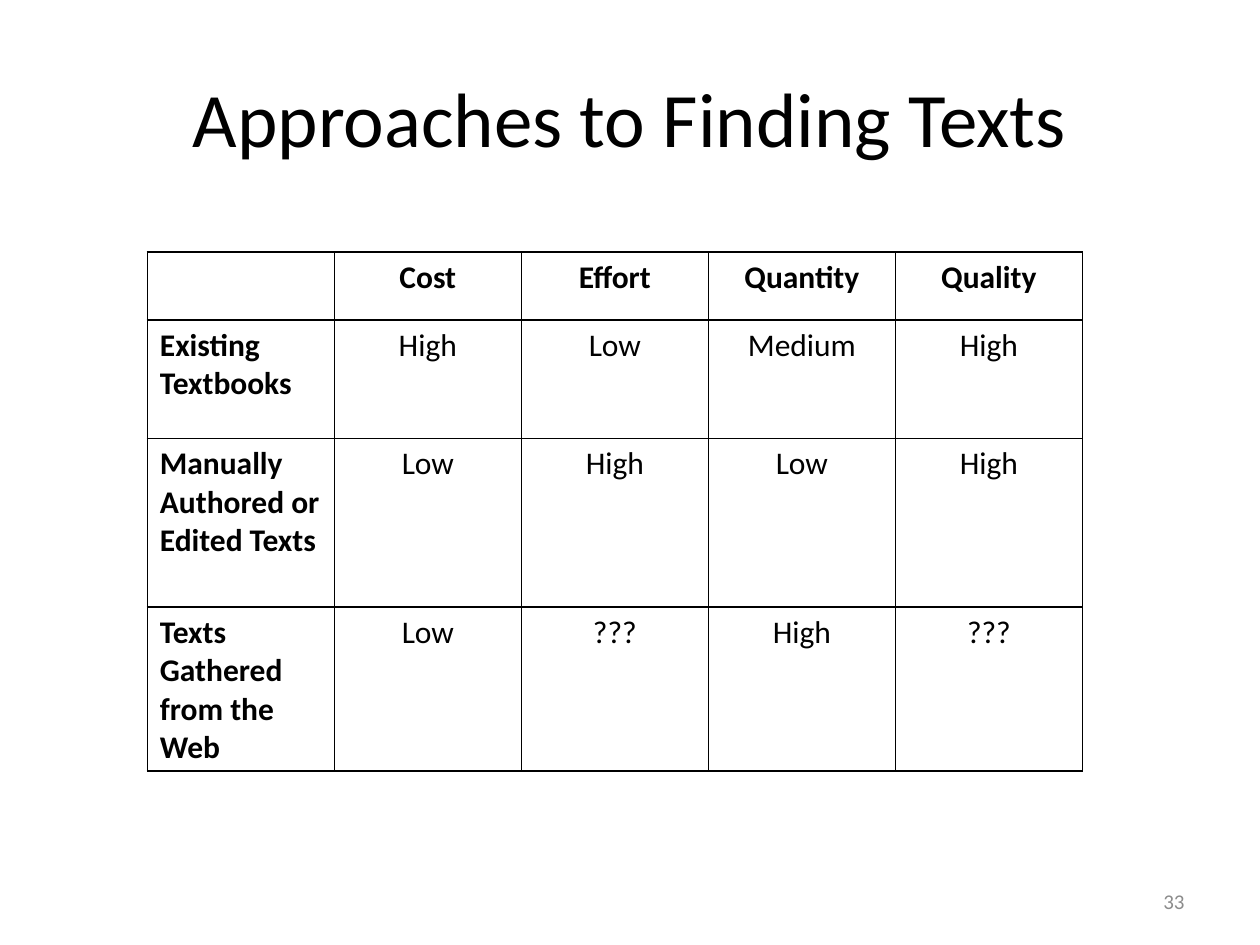
from lxml.etree import SubElement
from pptx import Presentation
from pptx.dml.color import RGBColor
from pptx.enum.text import MSO_ANCHOR, PP_ALIGN
from pptx.oxml.ns import qn
from pptx.util import Cm, Pt

FONT = "Calibri"
COLORS = {"text": "000000", "border": "000000", "number": "8C8C8C", "background": "FFFFFF"}

HEADERS = ["", "Cost", "Effort", "Quantity", "Quality"]
APPROACHES = [
    ["Existing Textbooks", "High", "Low", "Medium", "High"],
    ["Manually Authored or Edited Texts", "Low", "High", "Low", "High"],
    ["Texts Gathered from the Web", "Low", "???", "High", "???"],
]
ROW_HEIGHTS = [1.37, 2.39, 3.4, 2.39]


def write(text_frame, text, size, color="text", align=PP_ALIGN.CENTER, bold=False):
    paragraph = text_frame.paragraphs[0]
    paragraph.alignment = align
    run = paragraph.add_run()
    run.text = text
    run.font.name = FONT
    run.font.size = Pt(size)
    run.font.bold = bold
    run.font.color.rgb = RGBColor.from_string(COLORS[color])


def place_title(slide, left, top, width, height):
    title = slide.shapes.title
    title.left, title.top, title.width, title.height = left, top, width, height
    title.text_frame.vertical_anchor = MSO_ANCHOR.MIDDLE
    write(title.text_frame, "Approaches to Finding Texts", 44)


def format_cell(cell):
    """Give the cell a thin border on every side and a plain fill."""
    properties = cell._tc.get_or_add_tcPr()
    for side in ("a:lnL", "a:lnR", "a:lnT", "a:lnB"):
        line = SubElement(properties, qn(side), w=str(Pt(1)))
        fill = SubElement(line, qn("a:solidFill"))
        SubElement(fill, qn("a:srgbClr"), val=COLORS["border"])
    cell.fill.solid()
    cell.fill.fore_color.rgb = RGBColor.from_string(COLORS["background"])


def add_approach_table(slide, left, top, width):
    rows = [HEADERS] + APPROACHES
    height = Cm(sum(ROW_HEIGHTS))
    table = slide.shapes.add_table(len(rows), len(HEADERS), left, top, width, height).table
    table.first_row = table.horz_banding = False
    for row, row_height in zip(table.rows, ROW_HEIGHTS):
        row.height = Cm(row_height)
    for row_index, row in enumerate(rows):
        for column_index, text in enumerate(row):
            cell = table.cell(row_index, column_index)
            format_cell(cell)
            if text:
                align = PP_ALIGN.CENTER if column_index else PP_ALIGN.LEFT
                is_heading = row_index == 0 or column_index == 0
                write(cell.text_frame, text, 18, align=align, bold=is_heading)


def add_slide_number(slide, left, top, width, height):
    text_frame = slide.shapes.add_textbox(left, top, width, height).text_frame
    text_frame.word_wrap = True
    text_frame.vertical_anchor = MSO_ANCHOR.MIDDLE
    write(text_frame, "33", 12, "number", PP_ALIGN.RIGHT)


def main():
    presentation = Presentation()
    presentation.slide_width, presentation.slide_height = Cm(25.4), Cm(19.05)
    slide = presentation.slides.add_slide(presentation.slide_layouts[5])
    place_title(slide, Cm(1.27), Cm(0.76), Cm(22.86), Cm(3.18))
    add_slide_number(slide, Cm(18.2), Cm(17.65), Cm(5.93), Cm(1.02))
    add_approach_table(slide, Cm(2.97), Cm(5.08), Cm(18.85))
    presentation.save("out.pptx")


if __name__ == "__main__":
    main()
